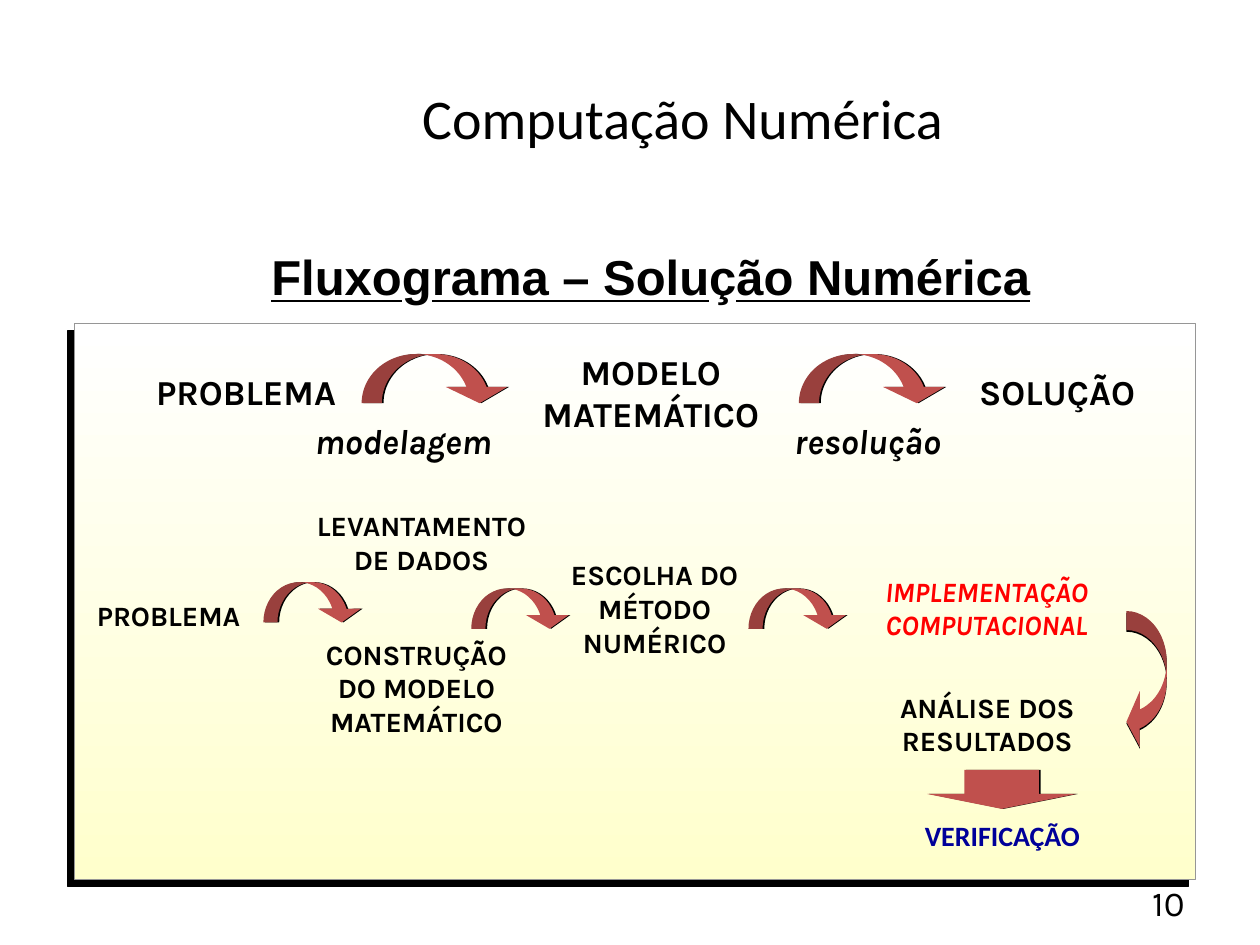
from lxml.etree import SubElement
from pptx import Presentation
from pptx.dml.color import RGBColor
from pptx.enum.shapes import MSO_SHAPE
from pptx.enum.text import MSO_ANCHOR, PP_ALIGN
from pptx.oxml.ns import qn
from pptx.util import Inches, Pt

BLACK = RGBColor(0x00, 0x00, 0x00)
RED = RGBColor(0xFF, 0x00, 0x00)
NAVY = RGBColor(0x00, 0x00, 0x99)
BRICK = RGBColor(0xC0, 0x50, 0x4D)
GRAY = RGBColor(0x96, 0x96, 0x96)
WHITE = RGBColor(0xFF, 0xFF, 0xFF)
CREAM = RGBColor(0xFF, 0xFF, 0xCC)

prs = Presentation()
prs.slide_width, prs.slide_height = Inches(10), Inches(7.5)
slide = prs.slides.add_slide(prs.slide_layouts[5])
shapes = slide.shapes


def add_text(box, text, size, align=PP_ALIGN.CENTER, name="Karla",
             color=BLACK, bold=True, italic=False):
    """Add a wrapped text box at box (inches) and return its paragraph."""
    frame = shapes.add_textbox(*map(Inches, box)).text_frame
    frame.word_wrap = True
    par = frame.paragraphs[0]
    par.text = text
    par.alignment = align
    font = par.font
    font.name, font.size, font.color.rgb = name, Pt(size), color
    font.bold, font.italic = bold, italic
    return par


def cast_shadow(shape, dist, angle):
    """Give the shape a hard black shadow, dist in points."""
    shape.shadow.inherit = False
    effects = shape._element.spPr.find(qn("a:effectLst"))
    shade = SubElement(effects, qn("a:outerShdw"), dist=str(Pt(dist)),
                       dir=str(angle * 60000), algn="ctr", rotWithShape="0")
    SubElement(shade, qn("a:srgbClr"), val=str(BLACK))


# Title, subtitle and page number
title = shapes.title
title.left, title.top = Inches(1.16), Inches(0.58)
title.width, title.height = Inches(8.52), Inches(0.7)
title.text_frame.text = "Computação Numérica"
title.text_frame.vertical_anchor = MSO_ANCHOR.MIDDLE
par = title.text_frame.paragraphs[0]
par.alignment = PP_ALIGN.CENTER
par.font.name, par.font.size, par.font.color.rgb = "Calibri", Pt(32), BLACK

par = add_text((1.25, 1.91, 7.83, 0.58), "", 28, name="Arial")
for part in ("Fluxo", "g", "rama – Solu", "ç", "ão Numérica"):
    run = par.add_run()
    run.text = part
    run.font.underline = part not in ("g", "ç")

add_text((7.17, 6.95, 2.33, 0.4), "10", 20, PP_ALIGN.RIGHT, bold=False)

# Panel behind the flowchart
panel = shapes.add_shape(MSO_SHAPE.RECTANGLE, Inches(0.59), Inches(2.57),
                         Inches(8.9), Inches(4.41))
panel.fill.gradient()
panel.fill.gradient_angle = 270
for stop, color, place in zip(panel.fill.gradient_stops, (WHITE, CREAM), (0, 1)):
    stop.color.rgb, stop.position = color, place
panel.line.color.rgb, panel.line.width = GRAY, Pt(0.75)
cast_shadow(panel, 5.7, 135)

# Arrows: kind, box, turn, adjustments
BEND, DOWN = MSO_SHAPE.CURVED_DOWN_ARROW, MSO_SHAPE.DOWN_ARROW
BIG, SMALL = (0.41, 1.25, 0.33), (0.35, 1.06, 0.34)
ARROWS = [
    (BEND, (2.87, 2.81, 1.18, 0.39), 0, BIG),
    (BEND, (6.34, 2.81, 1.18, 0.39), 0, BIG),
    (BEND, (2.09, 4.62, 0.79, 0.32), 0, SMALL),
    (BEND, (3.74, 4.67, 0.79, 0.32), 0, SMALL),
    (BEND, (5.94, 4.67, 0.79, 0.32), 0, SMALL),
    (BEND, (8.55, 5.24, 1.1, 0.32), 90, (0.47, 1.38, 0.33)),
    (DOWN, (7.36, 6.11, 1.18, 0.31), 0, (0.5, 0.38)),
]
for kind, box, turn, adjust in ARROWS:
    arrow = shapes.add_shape(kind, *map(Inches, box))
    arrow.rotation = turn
    for i, value in enumerate(adjust):
        arrow.adjustments[i] = value
    arrow.fill.solid()
    arrow.fill.fore_color.rgb = BRICK
    arrow.line.fill.background()
    cast_shadow(arrow, 1, turn)

# Overview row
add_text((1.14, 2.89, 1.89, 0.44), "PROBLEMA", 20, PP_ALIGN.LEFT)
add_text((4.06, 2.73, 2.21, 0.77), "MODELO MATEMÁTICO", 20)
add_text((7.6, 2.89, 1.58, 0.44), "SOLUÇÃO", 20)
add_text((2.4, 3.28, 1.89, 0.44), "modelagem", 20, PP_ALIGN.LEFT, italic=True)
add_text((6.1, 3.28, 1.57, 0.44), "resolução", 20, italic=True)

# Detailed steps
add_text((0.67, 4.7, 1.49, 0.37), "PROBLEMA", 16, PP_ALIGN.LEFT)
add_text((2.32, 3.99, 2.05, 0.64), "LEVANTAMENTO DE DADOS", 16)
add_text((2.32, 5.01, 1.97, 0.9), "CONSTRUÇÃO DO MODELO MATEMÁTICO", 16)
add_text((4.21, 4.38, 1.97, 0.9), "ESCOLHA DO MÉTODO NUMÉRICO", 16)
add_text((6.65, 4.51, 2.36, 0.64), "IMPLEMENTAÇÃO COMPUTACIONAL", 16,
         color=RED, italic=True)
add_text((6.89, 5.43, 1.89, 0.64), "ANÁLISE DOS RESULTADOS", 16)
add_text((7.05, 6.45, 1.81, 0.37), "VERIFICAÇÃO", 16, name="Calibri", color=NAVY)

prs.save("out.pptx")
